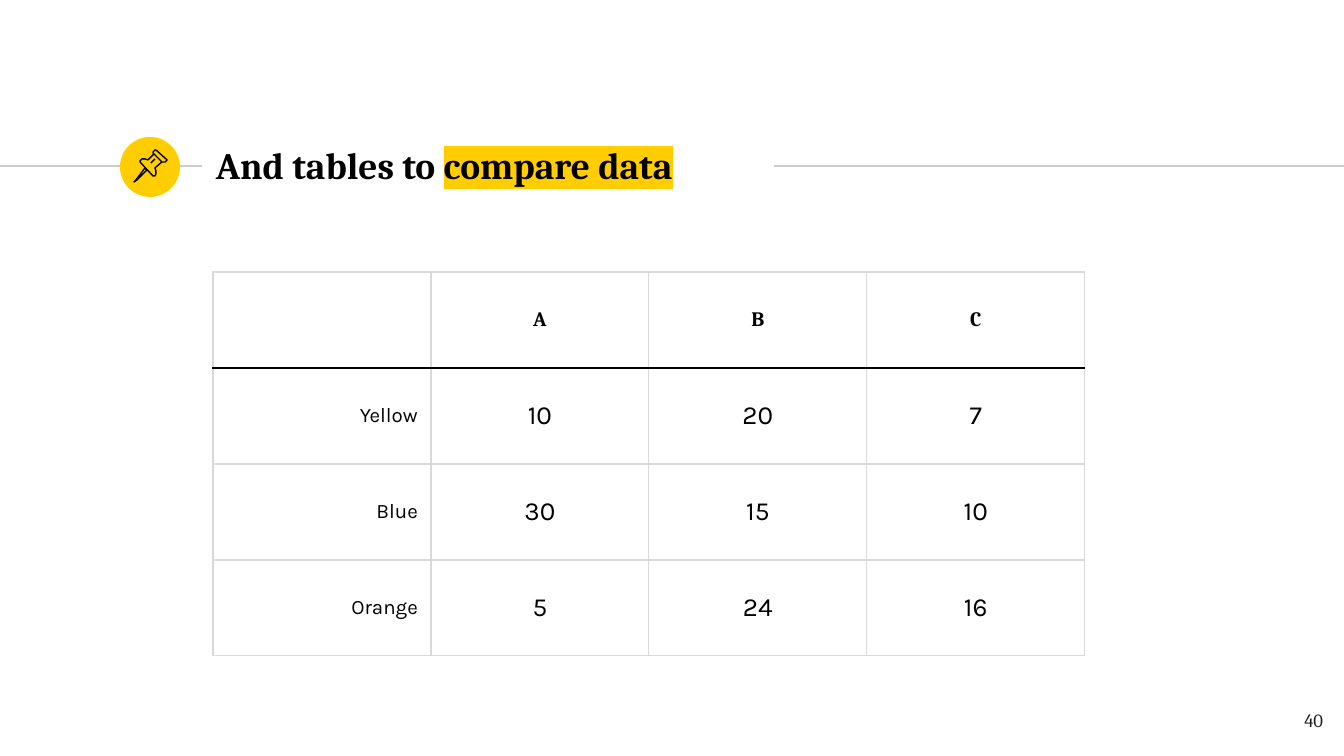
from lxml.etree import SubElement
from pptx import Presentation
from pptx.dml.color import RGBColor
from pptx.enum.shapes import MSO_CONNECTOR, MSO_SHAPE
from pptx.enum.text import MSO_ANCHOR, PP_ALIGN
from pptx.oxml.ns import qn
from pptx.util import Emu, Pt

SCALE = 914400 / 134.4
YELLOW, BLACK, GRID, RULE, INK = "FFCD00", "000000", "D9D9D9", "CCCCCC", "1D1D1B"
SERIF, SANS = "Cambria", "Karla"


def px(n):
    return Emu(round(n * SCALE))


def rgb(value):
    return RGBColor.from_string(value)


class Deck:
    """Style and drawing methods for the current slide."""

    width = Pt(0.75)

    def __init__(self, prs):
        self.slide = prs.slides.add_slide(prs.slide_layouts[6])
        self.shapes = self.slide.shapes

    def font(self, p, size, name, color=BLACK, bold=False):
        p.font.size, p.font.name, p.font.bold = Pt(size), name, bold
        p.font.color.rgb = rgb(color)

    def line(self, x1, x2, y, color=RULE):
        cx = self.shapes.add_connector(MSO_CONNECTOR.STRAIGHT, px(x1), px(y), px(x2), px(y))
        cx.line.color.rgb, cx.line.width = rgb(color), self.width
        SubElement(cx._element.spPr, qn("a:effectLst"))

    def circle(self, x, y, d, color):
        sp = self.shapes.add_shape(MSO_SHAPE.OVAL, px(x), px(y), px(d), px(d))
        sp.shadow.inherit = False
        sp.fill.solid()
        sp.fill.fore_color.rgb = rgb(color)
        sp.line.fill.background()

    def outline(self, points, close=False):
        fb = self.shapes.build_freeform(*points[0], scale=SCALE)
        fb.add_line_segments(points[1:], close=close)
        sp = fb.convert_to_shape()
        sp.shadow.inherit = False
        sp.fill.background()
        sp.line.color.rgb, sp.line.width = rgb(BLACK), self.width

    def text(self, x, y, w, h, runs, size, color=BLACK, bold=False,
             align=PP_ALIGN.LEFT, anchor=MSO_ANCHOR.TOP):
        tf = self.shapes.add_textbox(px(x), px(y), px(w), px(h)).text_frame
        tf.word_wrap, tf.vertical_anchor = True, anchor
        tf.margin_left = tf.margin_right = tf.margin_top = tf.margin_bottom = px(13)
        p = tf.paragraphs[0]
        p.alignment = align
        self.font(p, size, SERIF, color, bold)
        for words, mark in runs:
            r = p.add_run()
            r.text = words
            if mark:
                hl = SubElement(r._r.get_or_add_rPr(), qn("a:highlight"))
                SubElement(hl, qn("a:srgbClr"), val=mark)

    def border(self, cell, side, color):
        ln = SubElement(cell._tc.get_or_add_tcPr(), qn(f"a:ln{side}"), w=str(self.width))
        fill = SubElement(ln, qn("a:solidFill"))
        SubElement(fill, qn("a:srgbClr"), val=color)

    def cell(self, cell, words, row, col):
        cell.margin_left = cell.margin_right = px(13)
        cell.margin_top = cell.margin_bottom = px(9)
        cell.vertical_anchor = MSO_ANCHOR.MIDDLE
        top = BLACK if row == 1 else GRID
        bottom = BLACK if row == 0 else GRID
        for side, color in zip("LRTB", (GRID, GRID, top, bottom)):
            self.border(cell, side, color)
        cell.fill.background()
        cell.text = words
        p = cell.text_frame.paragraphs[0]
        p.alignment = PP_ALIGN.RIGHT if col == 0 else PP_ALIGN.CENTER
        size = 14 if row and col else 11
        self.font(p, size, SANS if row else SERIF, bold=row == 0)

    def table(self, x, y, col_w, row_h, rows):
        n, m = len(rows), len(rows[0])
        tbl = self.shapes.add_table(n, m, px(x), px(y), px(col_w * m), px(row_h * n)).table
        tbl.first_row = tbl.horz_banding = False
        for column in tbl.columns:
            column.width = px(col_w)
        for i, row in enumerate(rows):
            tbl.rows[i].height = px(row_h)
            for j, words in enumerate(row):
                self.cell(tbl.cell(i, j), words, i, j)


def main():
    prs = Presentation()
    prs.slide_width, prs.slide_height = px(1344), px(756)
    s = Deck(prs)

    s.line(0, 202, 166)
    s.circle(120, 137, 60, YELLOW)
    s.line(774, 1344, 166)
    s.text(203, 132, 570, 65, [("And tables to ", None), ("compare data", YELLOW)],
           20, bold=True, anchor=MSO_ANCHOR.MIDDLE)

    s.table(213, 272, 218, 96, [
        ("", "A", "B", "C"),
        ("Yellow", "10", "20", "7"),
        ("Blue", "30", "15", "10"),
        ("Orange", "5", "24", "16"),
    ])

    needle = [(145, 168), (136, 180), (134, 182), (137, 180), (147, 170)]
    head = [(154, 154), (162, 162), (165, 162), (167, 160), (166, 159),
            (156, 150), (155, 150), (153, 152), (153, 153)]
    body = [(154, 154), (148, 160), (145, 159), (142, 159), (140, 161), (140, 162),
            (153, 176), (155, 176), (156, 174), (156, 171), (155, 168), (162, 162)]
    s.outline(needle, close=True)
    s.outline(head, close=True)
    s.outline(body)
    s.outline([(151, 163), (155, 159)])

    s.text(1255, 698, 81, 58, [("40", None)], 10, INK, align=PP_ALIGN.RIGHT)
    prs.save("out.pptx")


if __name__ == "__main__":
    main()
